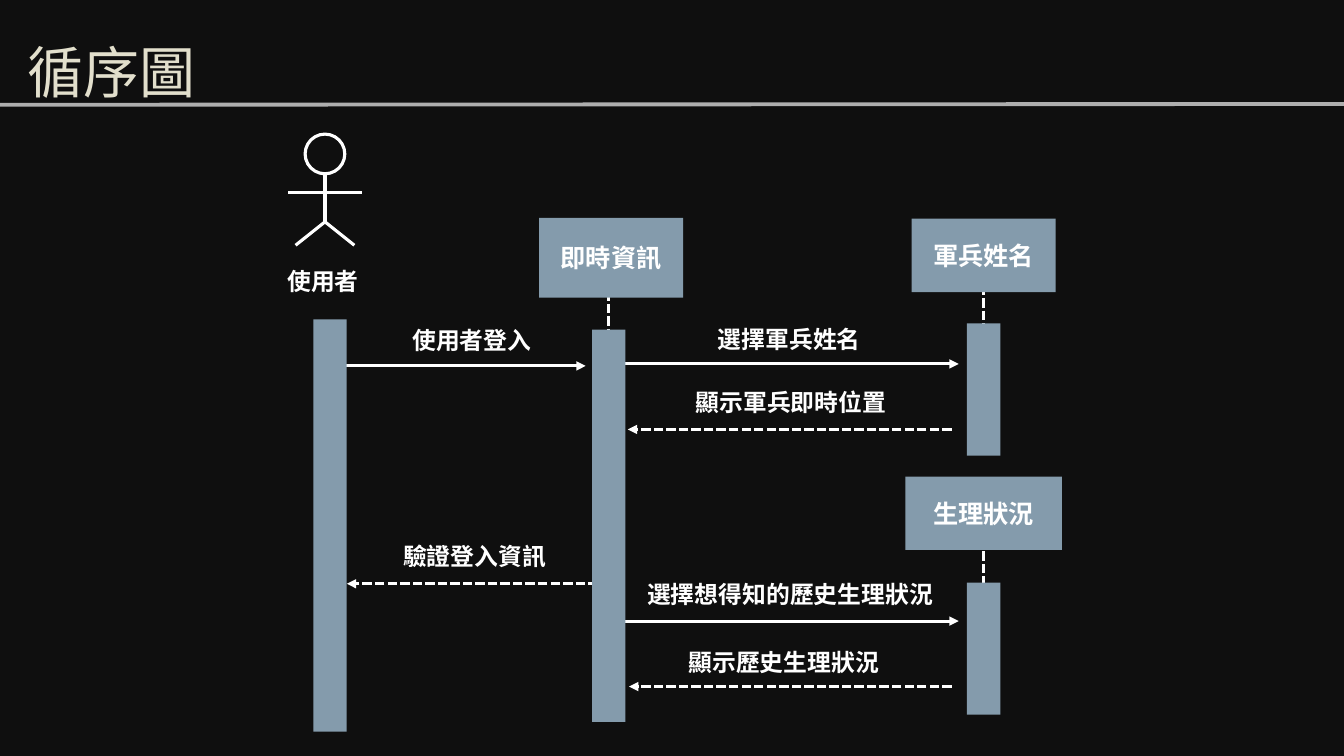
from dataclasses import dataclass

from lxml.etree import SubElement
from pptx import Presentation
from pptx.dml.color import RGBColor
from pptx.enum.dml import MSO_LINE
from pptx.enum.shapes import MSO_CONNECTOR, MSO_SHAPE
from pptx.enum.text import MSO_ANCHOR, MSO_AUTO_SIZE, PP_ALIGN
from pptx.oxml.ns import qn
from pptx.util import Cm, Pt


@dataclass(frozen=True)
class Theme:
    back: str = "0F0F0F"
    ink: str = "FFFFFF"
    box: str = "849BAC"
    title: str = "E2DFCC"
    rule: str = "F2F2F2"
    font: str = "Noto Sans CJK SC"
    title_size: int = 40
    head_size: int = 18
    note_size: int = 17
    stroke: float = 2.25
    rule_stroke: float = 2.75
    inset: float = 0.13


class Board:
    def __init__(self, slide, theme):
        self.slide = slide
        self.shapes = slide.shapes
        self.theme = theme
        fill = slide.background.fill
        fill.solid()
        fill.fore_color.rgb = RGBColor.from_string(theme.back)

    def label(self, frame, text, size, color, bold=True,
              align=PP_ALIGN.LEFT, anchor=MSO_ANCHOR.TOP):
        pad = Cm(self.theme.inset)
        frame.margin_left = frame.margin_right = pad
        frame.margin_top = frame.margin_bottom = pad
        frame.word_wrap = True
        frame.auto_size = MSO_AUTO_SIZE.NONE
        frame.vertical_anchor = anchor
        frame.text = text
        para = frame.paragraphs[0]
        para.alignment = align
        run = para.runs[0]
        run.font.size = Pt(size)
        run.font.bold = bold
        run.font.color.rgb = RGBColor.from_string(color)
        run.font.name = self.theme.font
        SubElement(run.font._element, qn("a:ea"), typeface=self.theme.font)

    def title(self, text, x, y, w, h):
        shape = self.shapes.title
        shape.left, shape.top, shape.width, shape.height = map(Cm, (x, y, w, h))
        self.label(shape.text_frame, text, self.theme.title_size,
                   self.theme.title, bold=False, anchor=MSO_ANCHOR.MIDDLE)
        shape.text_frame.paragraphs[0].line_spacing = 0.9

    def note(self, text, x, y, w, h=1.09):
        shape = self.shapes.add_textbox(Cm(x), Cm(y), Cm(w), Cm(h))
        self.label(shape.text_frame, text, self.theme.note_size, self.theme.ink)

    def box(self, x, y, w, h, text=""):
        shape = self.shapes.add_shape(
            MSO_SHAPE.RECTANGLE, Cm(x), Cm(y), Cm(w), Cm(h))
        shape.shadow.inherit = False
        shape.fill.solid()
        shape.fill.fore_color.rgb = RGBColor.from_string(self.theme.box)
        shape.line.fill.background()
        if text:
            self.label(shape.text_frame, text, self.theme.head_size,
                       self.theme.ink, align=PP_ALIGN.CENTER,
                       anchor=MSO_ANCHOR.MIDDLE)

    def ring(self, x, y, size):
        shape = self.shapes.add_shape(
            MSO_SHAPE.OVAL, Cm(x), Cm(y), Cm(size), Cm(size))
        shape.shadow.inherit = False
        shape.fill.background()
        shape.line.color.rgb = RGBColor.from_string(self.theme.ink)
        shape.line.width = Pt(self.theme.stroke)

    def line(self, x1, y1, x2, y2, dash=False, arrow=False):
        link = self.shapes.add_connector(
            MSO_CONNECTOR.STRAIGHT, Cm(x1), Cm(y1), Cm(x2), Cm(y2))
        link.line.color.rgb = RGBColor.from_string(self.theme.ink)
        link.line.width = Pt(self.theme.stroke)
        if dash:
            link.line.dash_style = MSO_LINE.SQUARE_DOT
        props = link._element.spPr
        if arrow:
            SubElement(props.find(qn("a:ln")), qn("a:tailEnd"), type="triangle")
        SubElement(props, qn("a:effectLst"))
        return link

    def rule(self, x1, y1, x2, y2):
        """Draw the translucent line under the title."""
        link = self.line(x1, y1, x2, y2)
        link.line.color.rgb = RGBColor.from_string(self.theme.rule)
        link.line.width = Pt(self.theme.rule_stroke)
        tint = link._element.spPr.find(".//" + qn("a:srgbClr"))
        SubElement(tint, qn("a:alpha"), val="70000")

    def actor(self, x, y):
        """Draw a stick figure centred on x with its head top at y."""
        hip = y + 2.21
        self.ring(x - 0.5, y, 1)
        self.line(x, y + 1, x, hip)
        self.line(x - 0.93, y + 1.47, x + 0.93, y + 1.47)
        for side in (-1, 1):
            self.line(x, hip, x + side * 0.74, y + 2.8)


BAR = 0.84
USER, INFO, DATA = 8.32, 15.34, 24.79  # lifeline centres

# centre, top, width, height, text
HEADS = [
    (INFO + 0.06, 5.49, 3.63, 2.01, "即時資訊"),
    (DATA, 5.51, 3.63, 1.85, "軍兵姓名"),
    (DATA, 12.01, 3.94, 1.85, "生理狀況"),
]
# centre, top, bottom
LIVES = [(INFO, 7.34, 14.71), (DATA, 6.88, 10.54), (DATA, 13.89, 17.55)]
# centre, top, height
BARS = [(USER, 8.05, 10.39), (INFO, 8.31, 9.88),
        (DATA, 8.15, 3.33), (DATA, 14.68, 3.33)]
# text, left, top, width, arrow start, arrow end, arrow height
CALLS = [
    ("使用者登入", 10.26, 8.08, 4.98, 8.71, 14.76, 9.22),
    ("驗證登入資訊", 10.03, 13.51, 3.94, 15.06, 8.74, 14.71),
    ("選擇軍兵姓名", 17.96, 8.05, 3.94, 15.72, 24.16, 9.17),
    ("顯示軍兵即時位置", 17.4, 9.65, 5.21, 23.98, 15.82, 10.82),
    ("選擇想得知的歷史生理狀況", 16.18, 14.48, 7.52, 15.72, 24.16, 15.65),
    ("顯示歷史生理狀況", 17.22, 16.18, 5.44, 23.98, 15.85, 17.3),
]


def main():
    deck = Presentation()
    deck.slide_width, deck.slide_height = Cm(33.87), Cm(19.05)
    board = Board(deck.slides.add_slide(deck.slide_layouts[5]), Theme())

    board.rule(0, 2.64, 33.87, 2.62)
    board.title("循序圖", 0.56, 0.05, 17.53, 3.68)
    board.actor(8.19, 3.38)
    board.note("使用者", 7.11, 6.58, 2.9)

    for mid, top, end in LIVES:
        board.line(mid, top, mid, end, dash=True)
    for text, x, y, w, start, end, level in CALLS:
        board.line(start, level, end, level, dash=end < start, arrow=True)
        board.note(text, x, y, w)
    for mid, top, h in BARS:
        board.box(mid - BAR / 2, top, BAR, h)
    for mid, top, w, h, text in HEADS:
        board.box(mid - w / 2, top, w, h, text)

    deck.save("out.pptx")


if __name__ == "__main__":
    main()
